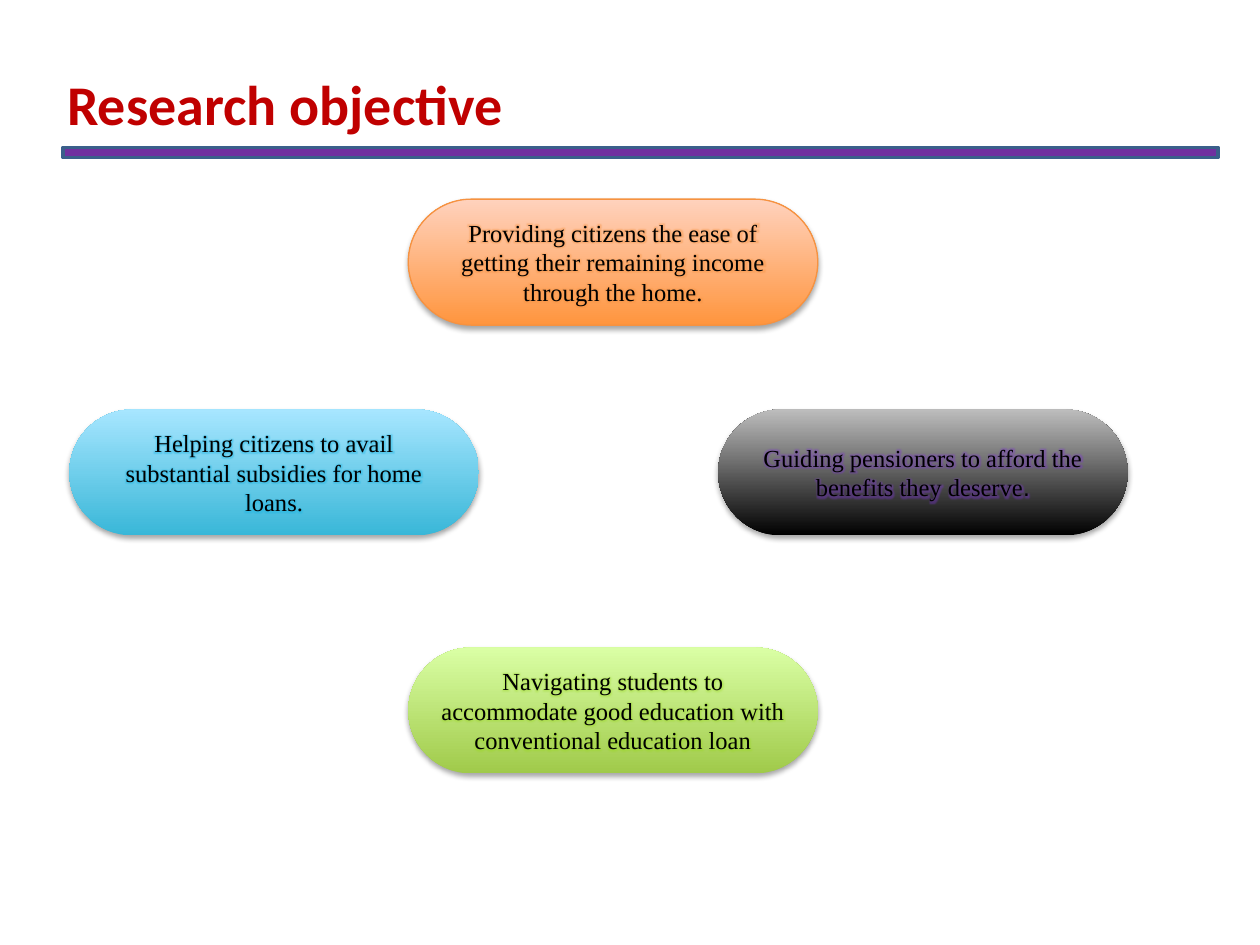
"""Build the research objective slide with four gradient pills."""
from lxml.etree import SubElement
from pptx import Presentation
from pptx.dml.color import RGBColor
from pptx.enum.shapes import MSO_SHAPE as Kind
from pptx.enum.text import MSO_ANCHOR as Anchor, MSO_AUTO_SIZE as Auto, PP_ALIGN as Align
from pptx.oxml.ns import qn
from pptx.util import Pt

RED = RGBColor(0xC0, 0x00, 0x00)
PURPLE = RGBColor(0x70, 0x30, 0xA0)
NAVY = RGBColor(0x3A, 0x5F, 0x8B)
BLACK = RGBColor(0x00, 0x00, 0x00)
GRAY = RGBColor(0xBD, 0xBD, 0xBD)
VIOLET = RGBColor(0x7C, 0x35, 0xD1)
TEAL = RGBColor(0x39, 0xB7, 0xD8)
SKY = RGBColor(0xA7, 0xE6, 0xFF)
CYAN = RGBColor(0x16, 0xB6, 0xE6)
ORANGE = RGBColor(0xFF, 0x95, 0x3E)
PEACH = RGBColor(0xFF, 0xD2, 0xBD)
AMBER = RGBColor(0xF6, 0x92, 0x40)
GREEN = RGBColor(0xA0, 0xCA, 0x4A)
LIME = RGBColor(0xDA, 0xFF, 0xA5)
LEAF = RGBColor(0x9A, 0xDB, 0x1C)

WIDE, HIGH = 234, 72
LEFT, MID, RIGHT = 39.6, 233.3, 410.4
PILLS = [
    (LEFT, 234, TEAL, SKY, CYAN, None,
     ["Helping citizens to avail substantial subsidies for home loans."]),
    (RIGHT, 234, BLACK, GRAY, VIOLET, None,
     ["Guiding pensioners to afford the benefits they deserve", "."]),
    (MID, 113.8, ORANGE, PEACH, AMBER, AMBER,
     ["Providing citizens the ease of getting their remaining income through the home."]),
    (MID, 370, GREEN, LIME, LEAF, None,
     ["Navigating students to accommodate good education with conventional education loan"]),
]


def effect(box, kind, color, alpha, **attrs):
    node = SubElement(box, qn("a:" + kind), attrs)
    tint = SubElement(node, qn("a:srgbClr"), val=str(color))
    SubElement(tint, qn("a:alpha"), val=str(alpha * 1000))


deck = Presentation()
deck.slide_width, deck.slide_height = Pt(720), Pt(540)
slide = deck.slides.add_slide(deck.slide_layouts[5])

bar = slide.shapes.add_shape(Kind.RECTANGLE, Pt(36), Pt(84.2), Pt(660), Pt(5.8))
bar.shadow.inherit = False
bar.fill.solid()
bar.fill.fore_color.rgb = PURPLE
bar.line.color.rgb = NAVY
bar.line.width = Pt(2)

title = slide.shapes.title
title.left, title.top, title.width, title.height = Pt(24), Pt(36), Pt(282), Pt(46)
frame = title.text_frame
frame.text = "Research objective"
frame.word_wrap = False
frame.auto_size = Auto.SHAPE_TO_FIT_TEXT
frame.vertical_anchor = Anchor.TOP
frame.margin_left = Pt(14.4)
head = frame.paragraphs[0]
head.alignment = Align.LEFT
font = head.runs[0].font
font.name, font.size, font.bold = "Calibri", Pt(32), True
font.color.rgb = RED

for left, top, low, high, glow, edge, parts in PILLS:
    pill = slide.shapes.add_shape(Kind.ROUNDED_RECTANGLE, Pt(left), Pt(top), Pt(WIDE), Pt(HIGH))
    pill.adjustments[0] = 0.5
    pill.fill.gradient()
    pill.fill.gradient_angle = 90
    for stop, color in zip(pill.fill.gradient_stops, (low, high)):
        stop.color.rgb = color
    if edge:
        pill.line.color.rgb = edge
        pill.line.width = Pt(0.75)
    else:
        pill.line.fill.background()
    pill.shadow.inherit = False
    effect(pill.element.spPr.find(qn("a:effectLst")), "outerShdw", BLACK, 35,
           blurRad=str(Pt(3.1)), dist=str(Pt(1.8)), dir="5400000", rotWithShape="0")
    frame = pill.text_frame
    frame.word_wrap = True
    frame.vertical_anchor = Anchor.MIDDLE
    para = frame.paragraphs[0]
    para.alignment = Align.CENTER
    for part, face in zip(parts, ("Times New Roman", "Arial")):
        run = para.add_run()
        run.text = part
        run.font.size = Pt(14)
        run.font.color.rgb = BLACK
        box = SubElement(run.font.fill._xPr, qn("a:effectLst"))
        effect(box, "glow", glow, 40, rad=str(Pt(5)))
        run.font.name = face

deck.save("out.pptx")
